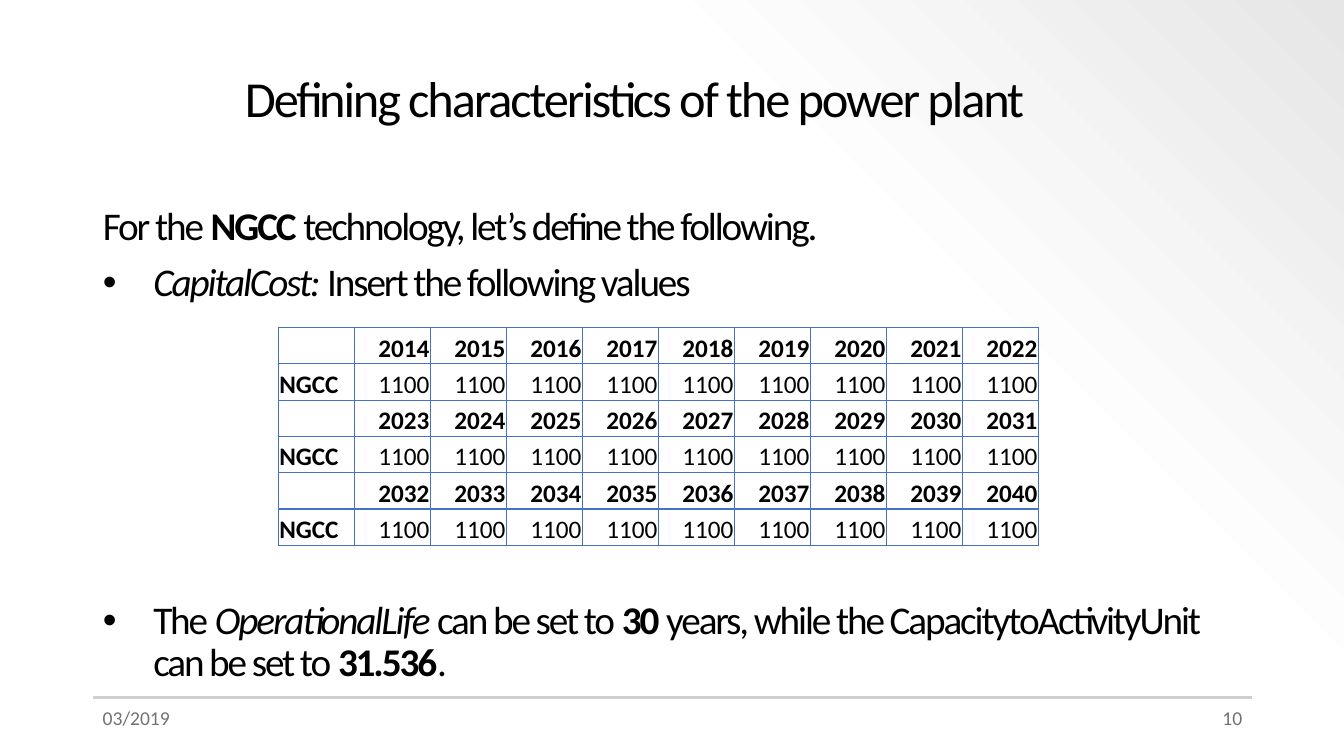
from dataclasses import dataclass

from lxml import etree
from pptx import Presentation
from pptx import util as u
from pptx.dml.color import RGBColor
from pptx.enum import shapes, text
from pptx.oxml.ns import qn


@dataclass(frozen=True)
class Theme:
    font: str = "Calibri"
    ink: str = "000000"
    muted: str = "767171"
    rule: str = "D0CECE"
    grid: str = "4472C4"
    title_size: int = 36
    body_size: int = 28
    table_size: int = 18
    footer_size: int = 14
    tracking: float = -1.5
    # Gradient stops: position in percent, colour, opacity in percent
    backdrop: tuple = ((0, "FFFFFF", 100), (69, "FDFDFD", 100), (100, "E7E6E6", 50))


THEME = Theme()
LEFT = text.PP_ALIGN.LEFT
RIGHT = text.PP_ALIGN.RIGHT

# Body paragraphs: bulleted, space before in points, (wording, style) spans
BODY = [
    (False, 10, [("For the ", ""), ("NGCC ", "bold"),
                 ("technology, let’s define the following.", "")]),
    (True, 10, [("CapitalCost: ", "italic"), ("Insert the following values", "")]),
    (True, 211, [("The ", ""), ("OperationalLife", "italic"), (" can be set to ", ""),
                 ("30 ", "bold"),
                 ("years, while the CapacitytoActivityUnit can be set to ", ""),
                 ("31.536", "bold"), (".", "")]),
]
FIRST_YEARS = (2014, 2023, 2032)
YEARS_PER_ROW = 9
CAPITAL_COST = 1100


def add_xml(parent, tag, **attributes):
    return etree.SubElement(parent, qn(tag), attributes)


def place(shape, left, top, width, height):
    shape.left, shape.top = u.Inches(left), u.Inches(top)
    shape.width, shape.height = u.Inches(width), u.Inches(height)


def style_para(para, size, color=THEME.ink, align=LEFT, bold=False):
    para.alignment = align
    font = para.font
    font.name, font.size, font.bold = THEME.font, u.Pt(size), bold
    font.color.rgb = RGBColor.from_string(color)


def tighten(para):
    """Set the line spacing and letter spacing shared by title and body."""
    para.line_spacing = 0.9
    defaults = para._p.get_or_add_pPr().get_or_add_defRPr()
    defaults.set("spc", str(int(THEME.tracking * 100)))
    for span in para.runs:
        span._r.get_or_add_rPr().set("spc", defaults.get("spc"))


def set_bullet(para, bulleted):
    props = para._p.get_or_add_pPr()
    indent = u.Inches(0.5) if bulleted else 0
    props.set("marL", str(indent))
    props.set("indent", str(-indent))
    if bulleted:
        marks = [add_xml(props, "a:buFont", typeface="Arial"),
                 add_xml(props, "a:buChar", char="•")]
    else:
        marks = [add_xml(props, "a:buNone")]
    for mark in marks:
        props.get_or_add_defRPr().addprevious(mark)


def paint_background(page):
    fill = page.background.fill
    fill.gradient()
    fill.gradient_angle = 45
    stops = page._element.find(".//" + qn("a:gsLst"))
    for stop in list(stops):
        stops.remove(stop)
    for position, color, opacity in THEME.backdrop:
        stop = add_xml(stops, "a:gs", pos=str(position * 1000))
        tone = add_xml(stop, "a:srgbClr", val=color)
        if opacity < 100:
            add_xml(tone, "a:alpha", val=str(opacity * 1000))


def add_rule(page, left, right, y):
    rule = page.shapes.add_connector(
        shapes.MSO_CONNECTOR.STRAIGHT,
        u.Inches(left), u.Inches(y), u.Inches(right), u.Inches(y))
    rule.line.color.rgb = RGBColor.from_string(THEME.rule)
    rule.line.width = u.Pt(1.5)
    add_xml(rule._element.spPr, "a:effectLst")


def fill_title(title, wording):
    place(title, 2.33, 0.4, 10.08, 1.2)
    frame = title.text_frame
    frame.text = wording
    frame.auto_size = text.MSO_AUTO_SIZE.NONE
    frame.vertical_anchor = text.MSO_ANCHOR.MIDDLE
    style_para(frame.paragraphs[0], THEME.title_size)
    tighten(frame.paragraphs[0])


def fill_body(body):
    place(body, 0.92, 2, 11.5, 4.95)
    frame = body.text_frame
    frame.auto_size = text.MSO_AUTO_SIZE.NONE
    frame.vertical_anchor = text.MSO_ANCHOR.TOP
    for index, (bulleted, space, spans) in enumerate(BODY):
        para = frame.add_paragraph() if index else frame.paragraphs[0]
        for wording, emphasis in spans:
            span = para.add_run()
            span.text = wording
            if emphasis:
                setattr(span.font, emphasis, True)
        style_para(para, THEME.body_size)
        para.space_before = u.Pt(space)
        set_bullet(para, bulleted)
        tighten(para)


def add_footer(page, left, wording, align):
    box = page.shapes.add_textbox(
        u.Inches(left), u.Inches(6.95), u.Inches(1.3), u.Inches(0.4))
    frame = box.text_frame
    frame.word_wrap = True
    frame.text = wording
    style_para(frame.paragraphs[0], THEME.footer_size, THEME.muted, align)


def style_cell(cell, wording, align, bold):
    cell.text = wording
    cell.vertical_anchor = text.MSO_ANCHOR.BOTTOM
    cell.margin_left = cell.margin_right = cell.margin_top = u.Inches(0.01)
    cell.margin_bottom = 0
    style_para(cell.text_frame.paragraphs[0], THEME.table_size, align=align, bold=bold)
    # Borders come before the fill in the cell properties
    props = cell._tc.get_or_add_tcPr()
    for side in ("a:lnL", "a:lnR", "a:lnT", "a:lnB"):
        border = add_xml(props, side, w=str(u.Pt(1)))
        add_xml(add_xml(border, "a:solidFill"), "a:srgbClr", val=THEME.grid)
    cell.fill.background()


def add_cost_table(page):
    rows = []
    for first in FIRST_YEARS:
        rows.append(["", *range(first, first + YEARS_PER_ROW)])
        rows.append(["NGCC"] + [CAPITAL_COST] * YEARS_PER_ROW)
    table = page.shapes.add_table(
        len(rows), YEARS_PER_ROW + 1,
        u.Inches(2.76), u.Inches(3.25), u.Inches(7.54), u.Inches(2.16)).table
    table.first_row = table.horz_banding = False
    for row, values in enumerate(rows):
        for column, value in enumerate(values):
            style_cell(table.cell(row, column), str(value),
                       align=RIGHT if column else LEFT,
                       bold=row % 2 == 0 or column == 0)


def main():
    deck = Presentation()
    deck.slide_width, deck.slide_height = u.Inches(13.33), u.Inches(7.5)
    page = deck.slides.add_slide(deck.slide_layouts[1])
    paint_background(page)

    # Title and list
    fill_title(page.shapes.title, "Defining characteristics of the power plant")
    fill_body(page.placeholders[1])

    # Capital cost by year
    add_cost_table(page)

    # Footer
    add_rule(page, 0.92, 12.42, 6.92)
    add_footer(page, 0.92, "03/2019", LEFT)
    add_footer(page, 11.12, "10", RIGHT)

    deck.save("out.pptx")


main()
